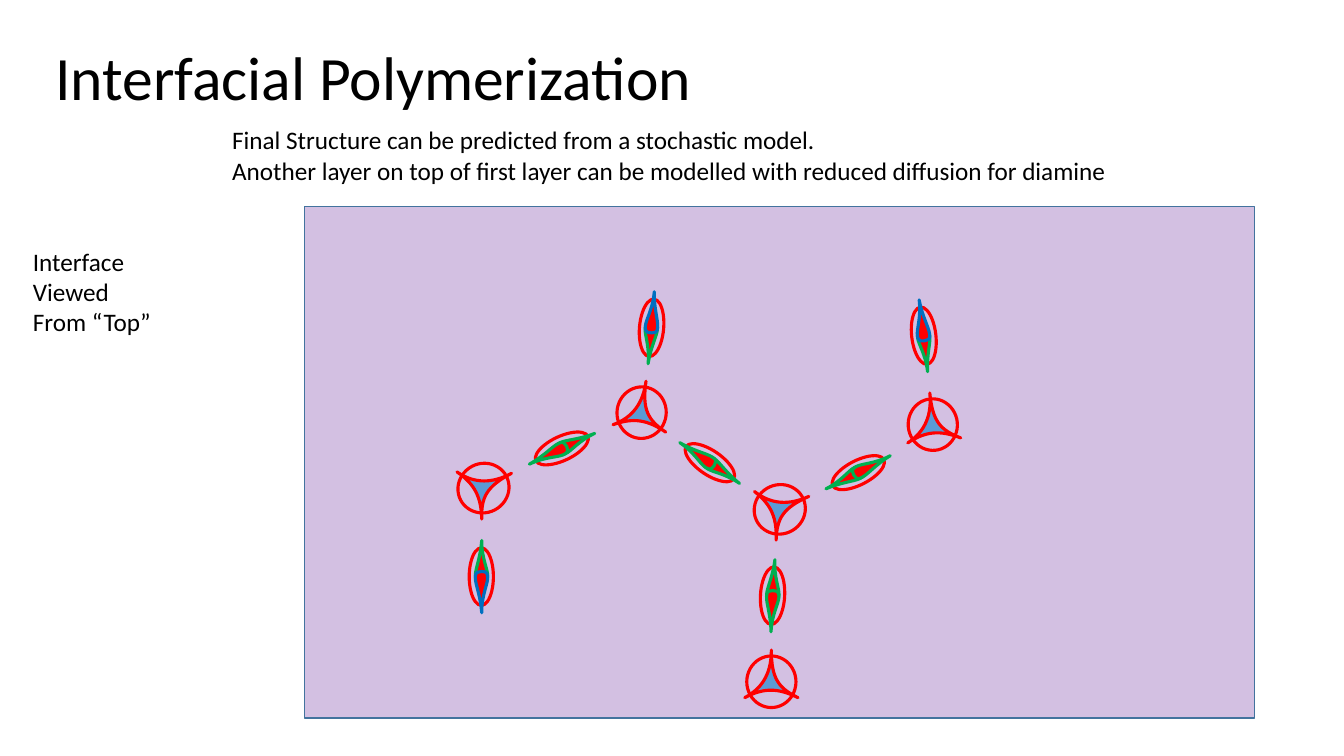
from lxml import etree
from pptx import Presentation
from pptx import util as u
from pptx.dml.color import RGBColor
from pptx.enum import shapes, text
from pptx.oxml import ns

BLACK = RGBColor(0x00, 0x00, 0x00)
RED = RGBColor(0xFF, 0x00, 0x00)
GREEN = RGBColor(0x00, 0xB0, 0x50)
BLUE = RGBColor(0x00, 0x70, 0xC0)
CORE = RGBColor(0x5B, 0x9B, 0xD5)
PURPLE = RGBColor(0x70, 0x30, 0xA0)
BORDER = RGBColor(0x43, 0x73, 0x9E)

STAR = [(-.67, .47), (-.18, .21), (0, -.2), (0, -.73), (0, -.01),
        (.18, .23), (.67, .47), (.18, .23), (-.18, .21), (-.67, .47)]
LEAF = [(-.13, 0), (-.1, -.08), (-.15, -.15), (.03, -.15), (.2, -.15),
        (.48, -.02), (.91, .01), (.46, .01), (.2, .16), (.03, .16),
        (-.15, .16), (-.13, .06), (-.13, 0)]
MIRRORED_LEAF = [(-x, y) for x, y in LEAF]

prs = Presentation()
prs.slide_width = u.Cm(33.87)
prs.slide_height = u.Cm(19.05)
s = prs.slides.add_slide(prs.slide_layouts[6])


def add_ellipse(cx, cy, w, h):
    sp = s.shapes.add_shape(shapes.MSO_SHAPE.OVAL, u.Cm(cx - w / 2),
                            u.Cm(cy - h / 2), u.Cm(w), u.Cm(h))
    sp.shadow.inherit = False
    sp.fill.background()
    sp.line.color.rgb = RED
    sp.line.width = u.Pt(2.25)
    return sp


def add_curve(cx, cy, outline, fill, line):
    pts = [(u.Cm(cx + x), u.Cm(cy + y)) for x, y in outline]
    fb = s.shapes.build_freeform(*pts[0])
    fb.add_line_segments(pts[1:], close=True)
    sp = fb.convert_to_shape()
    segments = list(sp.element.iter(ns.qn("a:lnTo")))
    for i in range(0, len(segments), 3):
        bezier = etree.Element(ns.qn("a:cubicBezTo"))
        segments[i].addprevious(bezier)
        for seg in segments[i:i + 3]:
            bezier.append(seg[0])
            seg.getparent().remove(seg)
    sp.shadow.inherit = False
    sp.fill.solid()
    sp.fill.fore_color.rgb = fill
    sp.line.color.rgb = line
    sp.line.width = u.Pt(2.25)
    return sp


sp = s.shapes.add_shape(shapes.MSO_SHAPE.RECTANGLE, u.Cm(7.67), u.Cm(5.21),
                        u.Cm(23.95), u.Cm(12.88))
sp.shadow.inherit = False
sp.fill.solid()
sp.fill.fore_color.rgb = PURPLE
clr = next(sp.element.spPr.iter(ns.qn("a:srgbClr")))
etree.SubElement(clr, ns.qn("a:alpha")).set("val", "30000")
sp.line.color.rgb = BORDER
sp.line.width = u.Pt(1)

TOP, MIDDLE = text.MSO_ANCHOR.TOP, text.MSO_ANCHOR.MIDDLE
for x, y, w, h, size, spacing, anchor, lines in [
    (1.14, .18, 17.53, 3.68, 44, .9, MIDDLE, ["Interfacial Polymerization"]),
    (.58, 6.07, 3.48, 2.57, 18, 1.0, TOP, ["Interface Viewed From “Top”"]),
    (5.6, 3.02, 26.82, 1.8, 18, 1.0, TOP, [
        "Final Structure can be predicted from a stochastic model.",
        "Another layer on top of first layer can be modelled with reduced diffusion for diamine"]),
]:
    tf = s.shapes.add_textbox(u.Cm(x), u.Cm(y), u.Cm(w), u.Cm(h)).text_frame
    tf.word_wrap = True
    tf.vertical_anchor = anchor
    for i, line in enumerate(lines):
        p = tf.add_paragraph() if i else tf.paragraphs[0]
        p.line_spacing = spacing
        r = p.add_run()
        r.text = line
        r.font.name = "Calibri"
        r.font.size = u.Pt(size)
        r.font.color.rgb = BLACK

for cx, cy, angle in [(16.18, 10.33, 8), (19.72, 12.81, 66), (23.5, 10.63, 354.6),
                      (19.44, 17.11, 0), (12.25, 12.27, 62.3)]:
    trimer = s.shapes.add_group_shape([
        add_ellipse(cx, cy + .07, 1.24, 1.3),
        add_curve(cx, cy, STAR, CORE, RED)])
    trimer.rotation = angle

for cx, cy, angle, end in [
    (17.89, 11.66, 34.3, GREEN), (16.42, 8.26, 94.9, BLUE),
    (14.16, 11.3, 334.8, GREEN), (21.63, 11.91, 152.8, GREEN),
    (23.28, 8.46, 83.3, BLUE), (19.47, 15.01, 273.1, GREEN),
    (12.13, 14.53, 270, BLUE),
]:
    diamine = s.shapes.add_group_shape([
        add_ellipse(cx, cy, 1.45, .61),
        add_curve(cx, cy, LEAF, RED, GREEN),
        add_curve(cx, cy, MIRRORED_LEAF, RED, end)])
    diamine.rotation = angle

prs.save("out.pptx")
